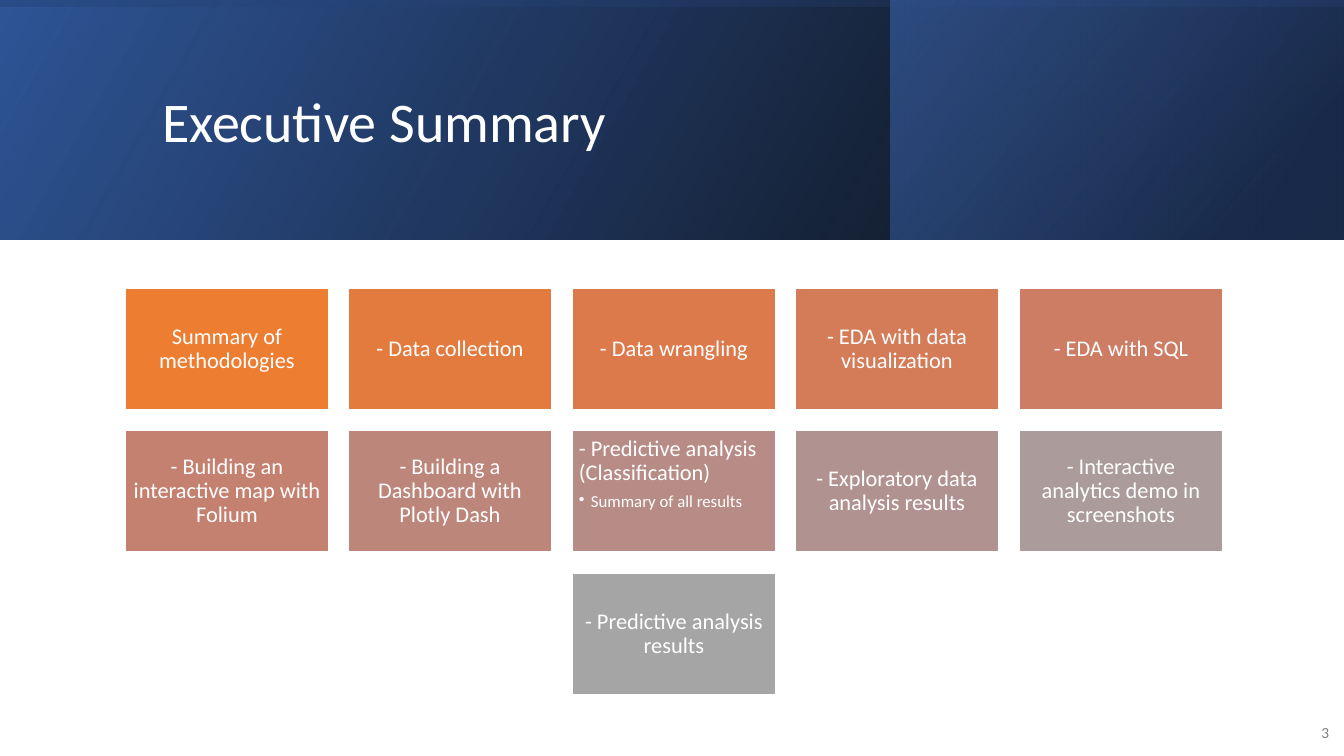
from lxml import etree
from pptx import Presentation
from pptx import util as u
from pptx.dml.color import RGBColor
from pptx.enum import shapes, text
from pptx.oxml import ns

CARDS = [
    ("Summary of methodologies", "ED7D31"),
    ("- Data collection", "E47B3E"),
    ("- Data wrangling", "DC7A4B"),
    ("- EDA with data visualization", "D47B58"),
    ("- EDA with SQL", "CC7D64"),
    ("- Building an interactive map with Folium", "C48170"),
    ("- Building a Dashboard with Plotly Dash", "BD867B"),
    ("- Predictive analysis (Classification)", "B78C86"),
    ("- Exploratory data analysis results", "B09391"),
    ("- Interactive analytics demo in screenshots", "AB9C9B"),
    ("- Predictive analysis results", "A5A5A5"),
]
SUBPOINTS = {7: "Summary of all results"}
COLUMNS = 5


def px(length):
    return u.Emu(round(length * 914400 / 100.8))


def color(value):
    return RGBColor.from_string(value)


def add_xml(parent, tag, **attributes):
    return etree.SubElement(parent, ns.qn(tag), attributes)


class SlideBuilder:
    font = "Calibri"
    white = "FFFFFF"
    gray = "808080"
    center = text.PP_ALIGN.CENTER
    left = text.PP_ALIGN.LEFT
    right = text.PP_ALIGN.RIGHT

    def __init__(self, presentation):
        self.slide = presentation.slides.add_slide(presentation.slide_layouts[5])

    def rectangle(self, x, y, width, height):
        shape = self.slide.shapes.add_shape(
            shapes.MSO_SHAPE.RECTANGLE, px(x), px(y), px(width), px(height))
        shape.shadow.inherit = False
        return shape

    def gradient(self, box, stops, angle, rotation=0):
        shape = self.rectangle(*box)
        shape.line.fill.background()
        shape.rotation = rotation
        properties = shape.element.spPr
        properties.xfrm.set("flipH", "1")
        shape.fill.gradient()
        fill = properties.find(ns.qn("a:gradFill"))
        for child in list(fill):
            fill.remove(child)
        stop_list = add_xml(fill, "a:gsLst")
        for position, value, opacity in stops:
            stop = add_xml(stop_list, "a:gs", pos=str(position * 1000))
            stop_color = add_xml(stop, "a:srgbClr", val=value)
            add_xml(stop_color, "a:alpha", val=str(opacity * 1000))
        add_xml(fill, "a:lin", ang=str(angle * 60000), scaled="0")

    def style(self, paragraph, size, value, alignment, after):
        paragraph.alignment = alignment
        paragraph.space_after = u.Pt(after)
        paragraph.font.name = self.font
        paragraph.font.size = u.Pt(size)
        paragraph.font.color.rgb = color(value)

    def title(self, words, x, y, width, height):
        shape = self.slide.shapes.title
        shape.left, shape.top = px(x), px(y)
        shape.width, shape.height = px(width), px(height)
        frame = shape.text_frame
        frame.text = words
        frame.auto_size = text.MSO_AUTO_SIZE.NONE
        frame.vertical_anchor = text.MSO_ANCHOR.MIDDLE
        paragraph = frame.paragraphs[0]
        paragraph.line_spacing = 0.9
        self.style(paragraph, 40, self.white, self.left, 6)
        tree = self.slide.shapes.element
        tree.remove(shape.element)
        tree.append(shape.element)

    def page_number(self, number, x, y, width, height):
        box = self.slide.shapes.add_textbox(px(x), px(y), px(width), px(height))
        frame = box.text_frame
        frame.word_wrap = True
        frame.vertical_anchor = text.MSO_ANCHOR.MIDDLE
        frame.text = number
        self.style(frame.paragraphs[0], 11, self.gray, self.right, 6)

    def card(self, words, fill, x, y, width, height, subpoint=None):
        shape = self.rectangle(x, y, width, height)
        shape.fill.solid()
        shape.fill.fore_color.rgb = color(fill)
        shape.line.color.rgb = color(self.white)
        shape.line.width = u.Pt(1)
        frame = shape.text_frame
        frame.word_wrap = True
        frame.margin_left = frame.margin_right = px(7)
        frame.margin_top = frame.margin_bottom = px(7)
        frame.vertical_anchor = text.MSO_ANCHOR.TOP if subpoint else text.MSO_ANCHOR.MIDDLE
        frame.text = words
        paragraph = frame.paragraphs[0]
        paragraph.line_spacing = 0.9
        self.style(paragraph, 16, self.white, self.left if subpoint else self.center, 5.6)
        if subpoint:
            self.bullet(frame, subpoint)

    def bullet(self, frame, words):
        paragraph = frame.add_paragraph()
        paragraph.text = words
        paragraph.level = 1
        paragraph.line_spacing = 0.9
        paragraph.space_after = u.Pt(1.8)
        properties = paragraph._p.get_or_add_pPr()
        properties.set("marL", str(px(12)))
        properties.set("indent", str(px(-12)))
        add_xml(properties, "a:buChar", char="•")
        self.style(paragraph, 12, self.white, self.left, 1.8)


def main():
    presentation = Presentation()
    presentation.slide_width = px(1344)
    presentation.slide_height = px(756)
    builder = SlideBuilder(presentation)

    builder.gradient((0, 0, 1344, 240), [(0, "000000", 96), (100, "2F5597", 100)], 330)
    builder.gradient((891, 0, 452, 240), [(19, "203864", 68), (100, "4472C4", 48)], 320)
    builder.gradient((552, -552, 240, 1344), [(23, "2F5597", 16), (99, "000000", 45)], 350, 270)
    builder.title("Executive Summary", 152, 38, 1072, 173)
    builder.page_number("3", 1290, 712, 49, 40)

    for index, (words, fill) in enumerate(CARDS):
        row, column = divmod(index, COLUMNS)
        in_row = min(COLUMNS, len(CARDS) - row * COLUMNS)
        column += (COLUMNS - in_row) // 2
        x = 125 + column * 447 // 2
        y = 288 + row * 285 // 2
        builder.card(words, fill, x, y, 204, 122, SUBPOINTS.get(index))

    presentation.save("out.pptx")


if __name__ == "__main__":
    main()
